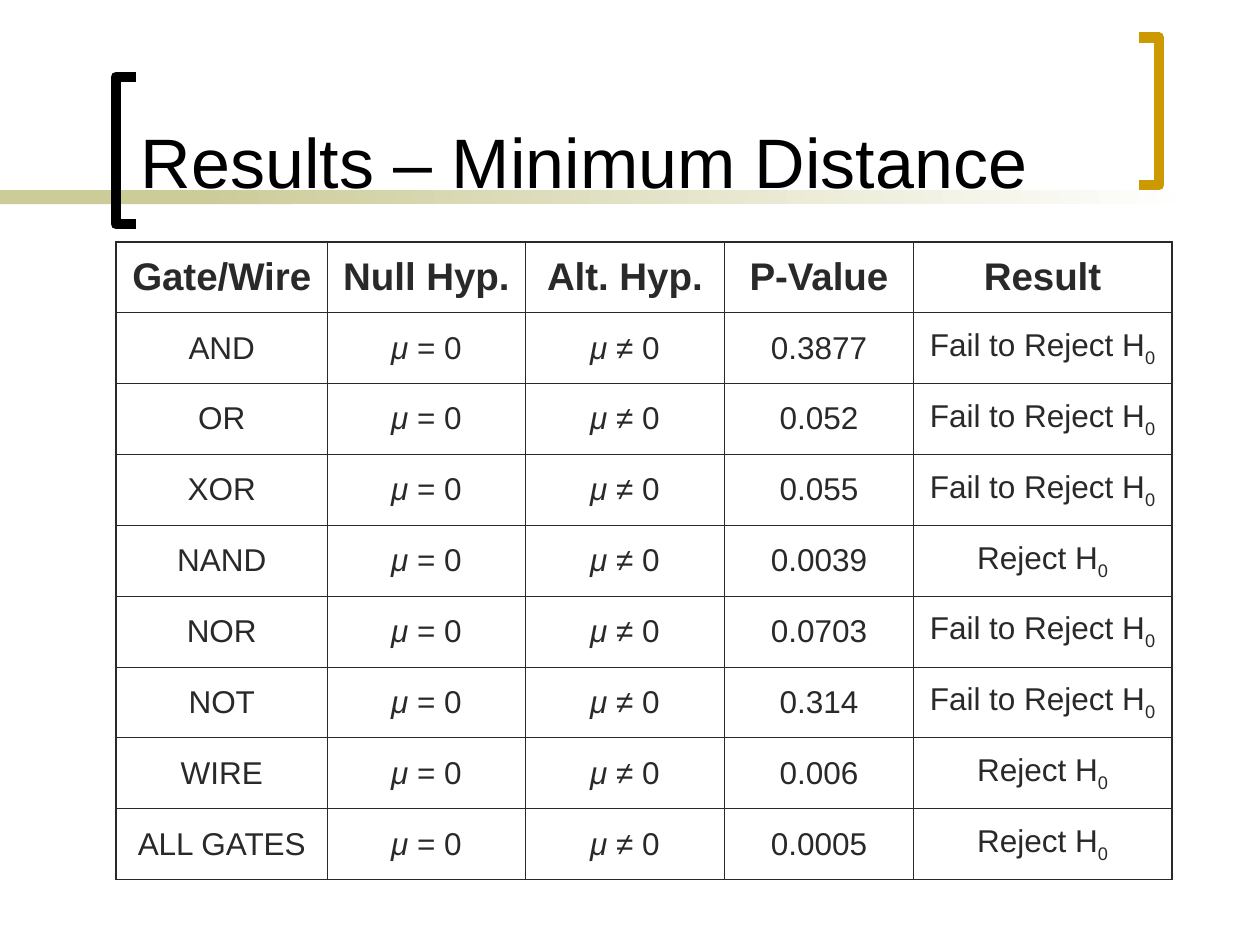
"""Build the minimum distance results slide."""
from dataclasses import dataclass

from lxml import etree
from pptx import Presentation
from pptx import util as u
from pptx.dml.color import RGBColor
from pptx.enum import shapes, text
from pptx.oxml import ns


@dataclass(frozen=True)
class Theme:
    font: str = "Arial"
    title: str = "000000"
    ink: str = "292929"
    band: str = "CCCC99"
    gold: str = "CC9900"
    paper: str = "FFFFFF"
    title_size: float = 40
    head_size: float = 22
    body_size: float = 18
    bracket: float = 6
    outer: float = 1.08
    inner: float = 0.45


T = Theme()
HEADERS = ["Gate/Wire", "Null Hyp.", "Alt. Hyp.", "P-Value", "Result"]
RESULTS = [
    ("AND", "0.3877", "Fail to Reject"),
    ("OR", "0.052", "Fail to Reject"),
    ("XOR", "0.055", "Fail to Reject"),
    ("NAND", "0.0039", "Reject"),
    ("NOR", "0.0703", "Fail to Reject"),
    ("NOT", "0.314", "Fail to Reject"),
    ("WIRE", "0.006", "Reject"),
    ("ALL GATES", "0.0005", "Reject"),
]
COLUMNS = [1.68, 1.57, 1.58, 1.5, 2.05]
ROW_HEIGHT = 0.5625


def rgb(value):
    return RGBColor.from_string(value)


def add_run(p, words, size, color, bold=False, italic=False, baseline=0):
    r = p.add_run()
    r.text = words
    r.font.name = T.font
    r.font.size = u.Pt(size)
    r.font.color.rgb = rgb(color)
    r.font.bold = bold
    r.font.italic = italic
    if baseline:
        r._r.get_or_add_rPr().set("baseline", str(baseline * 1000))


def add_band(s, left, width, faded=False):
    sp = s.shapes.add_shape(shapes.MSO_SHAPE.RECTANGLE, u.Inches(left), u.Inches(1.51),
                            u.Inches(width), u.Inches(0.11))
    sp.shadow.inherit = False
    sp.line.fill.background()
    if faded:
        sp.fill.gradient()
        sp.fill.gradient_angle = 180
        for stop, color in zip(sp.fill.gradient_stops, (T.paper, T.band)):
            stop.color.rgb = rgb(color)
    else:
        sp.fill.solid()
        sp.fill.fore_color.rgb = rgb(T.band)


def add_bracket(s, tip, spine, top, color):
    bottom = top + 1.17
    points = [(u.Inches(x), u.Inches(y))
              for x, y in ((tip, top), (spine, top), (spine, bottom), (tip, bottom))]
    builder = s.shapes.build_freeform(*points[0])
    builder.add_line_segments(points[1:], close=False)
    sp = builder.convert_to_shape()
    sp.shadow.inherit = False
    sp.fill.background()
    sp.line.color.rgb = rgb(color)
    sp.line.width = u.Pt(T.bracket)


def add_title(s, words):
    sp = s.shapes.add_textbox(u.Inches(1.02), u.Inches(0.11), u.Inches(7.83), u.Inches(1.55))
    tf = sp.text_frame
    tf.word_wrap = True
    tf.vertical_anchor = text.MSO_ANCHOR.BOTTOM
    add_run(tf.paragraphs[0], words, T.title_size, T.title)


def set_borders(cell, edges):
    tc_pr = cell._tc.get_or_add_tcPr()
    for side, is_outer in edges.items():
        ln = etree.SubElement(tc_pr, ns.qn(f"a:ln{side}"))
        ln.set("w", str(u.Pt(T.outer if is_outer else T.inner)))
        fill = etree.SubElement(ln, ns.qn("a:solidFill"))
        etree.SubElement(fill, ns.qn("a:srgbClr")).set("val", T.ink)


def fill_cell(cell, runs, size, bold=False):
    cell.vertical_anchor = text.MSO_ANCHOR.MIDDLE
    cell.fill.background()
    p = cell.text_frame.paragraphs[0]
    p.alignment = text.PP_ALIGN.CENTER
    p.space_before = u.Pt(size / 4)
    for words, style in runs:
        add_run(p, words, size, T.ink, bold, **style)


def result_row(gate, p_value, verdict):
    mu = ("μ", {"italic": True})
    return [
        [(gate, {})],
        [mu, (" = 0", {})],
        [mu, (" ≠ 0", {})],
        [(p_value, {})],
        [(f"{verdict} H", {}), ("0", {"baseline": -25})],
    ]


def add_results_table(s):
    rows = [[[(h, {})] for h in HEADERS]] + [result_row(*r) for r in RESULTS]
    last_row, last_col = len(rows) - 1, len(COLUMNS) - 1
    table = s.shapes.add_table(len(rows), len(COLUMNS), u.Inches(0.92), u.Inches(1.92),
                               u.Inches(sum(COLUMNS)),
                               u.Inches(ROW_HEIGHT * len(rows))).table
    table.first_row = table.horz_banding = False
    for column, width in zip(table.columns, COLUMNS):
        column.width = u.Inches(width)
    for i, row in enumerate(rows):
        table.rows[i].height = u.Inches(ROW_HEIGHT)
        for j, runs in enumerate(row):
            cell = table.cell(i, j)
            set_borders(cell, {"L": j == 0, "R": j == last_col,
                               "T": i == 0, "B": i == last_row})
            fill_cell(cell, runs, T.body_size if i else T.head_size, bold=i == 0)


def main():
    prs = Presentation()
    prs.slide_width, prs.slide_height = u.Inches(10), u.Inches(7.5)
    s = prs.slides.add_slide(prs.slide_layouts[6])
    add_band(s, 0, 2.33)
    add_band(s, 1.58, 7.92, faded=True)
    add_bracket(s, 1.08, 0.92, 0.61, T.title)
    add_bracket(s, 9.04, 9.2, 0.3, T.gold)
    add_title(s, "Results – Minimum Distance")
    add_results_table(s)
    prs.save("out.pptx")


if __name__ == "__main__":
    main()
